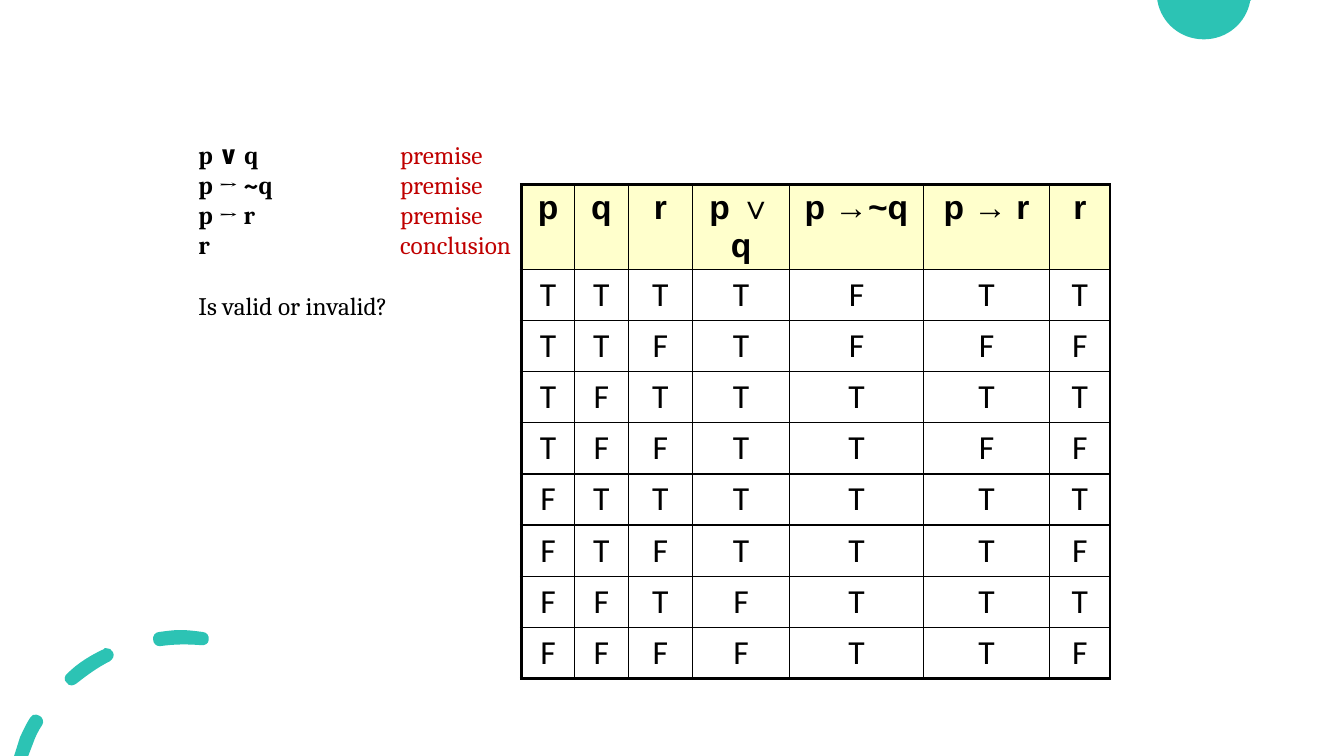
from itertools import product

from lxml import etree
from pptx import Presentation
from pptx import util as u
from pptx.dml.color import RGBColor
from pptx.enum import text
from pptx.oxml.ns import qn

COLORS = {"teal": "2CC3B4", "header": "FFFFCC", "black": "000000", "red": "C00000"}


def add_run(p, content, font="Cambria", size=18, color="black", bold=False):
    r = p.add_run()
    r.text = content
    r.font.name = font
    r.font.size = u.Pt(size)
    r.font.bold = bold
    r.font.color.rgb = RGBColor.from_string(COLORS[color])


def add_outline(contours):
    """Draw contours in 1/100 inch: each a start point, then lines (2 numbers) or curves (6)."""
    builder = s.shapes.build_freeform(*contours[0][0], scale=u.Inches(0.01))
    for i, (start, *segments) in enumerate(contours):
        if i:
            builder.move_to(*start)
        builder.add_line_segments([seg[-2:] for seg in segments], close=True)
    sp = builder.convert_to_shape()
    sp.shadow.inherit = False
    sp.fill.solid()
    sp.fill.fore_color.rgb = RGBColor.from_string(COLORS["teal"])
    sp.line.fill.background()

    # Turn the lines that stand for curves into Bezier segments
    left, top = min_corner = [min(seg[k] for c in contours for seg in
                                  [part[-2:] for part in c]) for k in (0, 1)]
    segments = [seg for _, *rest in contours for seg in rest]
    for seg, line in zip(segments, list(sp._element.iter(qn("a:lnTo")))):
        if len(seg) == 6:
            curve = etree.Element(qn("a:cubicBezTo"))
            for x, y in zip(seg[::2], seg[1::2]):
                etree.SubElement(curve, qn("a:pt"), x=str(x - left), y=str(y - top))
            line.getparent().replace(line, curve)


prs = Presentation()
prs.slide_width, prs.slide_height = u.Inches(13.33), u.Inches(7.5)
s = prs.slides.add_slide(prs.slide_layouts[6])

# Corner decorations
half_disc = [(1148, 0), (1241, 0), (1240, 1),
             (1236, 23, 1217, 39, 1194, 39), (1171, 39, 1152, 23, 1148, 1)]
low_dash = [(36, 709), (34, 708, 31, 710, 30, 712), (26, 718, 23, 725, 20, 731),
            (14, 750), (28, 750), (33, 737),
            (35, 731, 38, 725, 42, 719), (44, 716, 42, 711, 39, 710),
            (38, 709, 37, 709, 36, 709)]
middle_dash = [(105, 643), (104, 643, 103, 643, 103, 644), (90, 650, 77, 658, 67, 668),
               (64, 670, 63, 675, 66, 677), (67, 679, 69, 680, 71, 680), (71, 680),
               (73, 680, 74, 679, 76, 678), (86, 670, 97, 662, 109, 656),
               (112, 654, 114, 650, 112, 647), (111, 644, 108, 643, 105, 643)]
top_dash = [(179, 625), (172, 625, 165, 626, 158, 627), (154, 627, 151, 631, 152, 635),
            (152, 638, 155, 641, 158, 641), (159, 641, 159, 641, 159, 641),
            (173, 639, 186, 639, 199, 640), (203, 641, 207, 638, 207, 635),
            (208, 631, 205, 627, 201, 627), (201, 627, 201, 627, 201, 627),
            (194, 626, 186, 625, 179, 625)]
add_outline([half_disc])
add_outline([low_dash, middle_dash, top_dash])

# Truth table
rows = [["p", "q", "r", "p ∨ q", "p →~q", "p → r", "r"]]
for p_val, q_val, r_val in product([True, False], repeat=3):
    values = [p_val, q_val, r_val, p_val or q_val,
              not p_val or not q_val, not p_val or r_val, r_val]
    rows.append(["T" if v else "F" for v in values])
col_widths = [0.53, 0.53, 0.64, 0.96, 1.33, 1.25, 0.6]
row_heights = [0.6, 0.33, 0.33, 0.33, 0.36, 0.33, 0.33, 0.33, 0.33]
last_row, last_col = len(rows) - 1, len(col_widths) - 1

table = s.shapes.add_table(len(rows), len(col_widths), u.Inches(5.17), u.Inches(1.83),
                           u.Inches(5.85), u.Inches(4.6)).table
table.first_row = table.horz_banding = False
for column, width in zip(table.columns, col_widths):
    column.width = u.Inches(width)
for row, height in zip(table.rows, row_heights):
    row.height = u.Inches(height)

for i, row in enumerate(rows):
    for j, value in enumerate(row):
        cell = table.cell(i, j)
        p = cell.text_frame.paragraphs[0]
        p.alignment = text.PP_ALIGN.CENTER
        p.space_after = u.Pt(10)
        add_run(p, value, font="Calibri" if i else "Arial", size=24, bold=i == 0)

        tcPr = cell._tc.get_or_add_tcPr()
        outer_edges = {"lnL": j == 0, "lnR": j == last_col, "lnT": i == 0, "lnB": i == last_row}
        for side, is_outer in outer_edges.items():
            ln = etree.SubElement(tcPr, qn(f"a:{side}"), w=str(u.Pt(2.25 if is_outer else 1)))
            fill = etree.SubElement(ln, qn("a:solidFill"))
            etree.SubElement(fill, qn("a:srgbClr"), val=COLORS["black"])
        if i == 0:
            cell.fill.solid()
            cell.fill.fore_color.rgb = RGBColor.from_string(COLORS["header"])
        else:
            cell.fill.background()

# Argument
tf = s.shapes.add_textbox(u.Inches(1.87), u.Inches(1.33), u.Inches(3.33), u.Inches(2.22)).text_frame
tf.word_wrap = True
argument = [("p ∨ q", "premise"), ("p → ~q", "premise"), ("p → r", "premise"), ("r", "conclusion")]
for i, (statement, role) in enumerate(argument):
    p = tf.add_paragraph() if i else tf.paragraphs[0]
    tabs = etree.SubElement(p._p.get_or_add_pPr(), qn("a:tabLst"))
    etree.SubElement(tabs, qn("a:tab"), pos=str(u.Inches(2)), algn="l")
    add_run(p, statement + "\t", bold=True)
    add_run(p, role, color="red")
p = tf.add_paragraph()
p.space_before = u.Pt(21.6)
add_run(p, "Is valid or invalid?")

prs.save("out.pptx")
